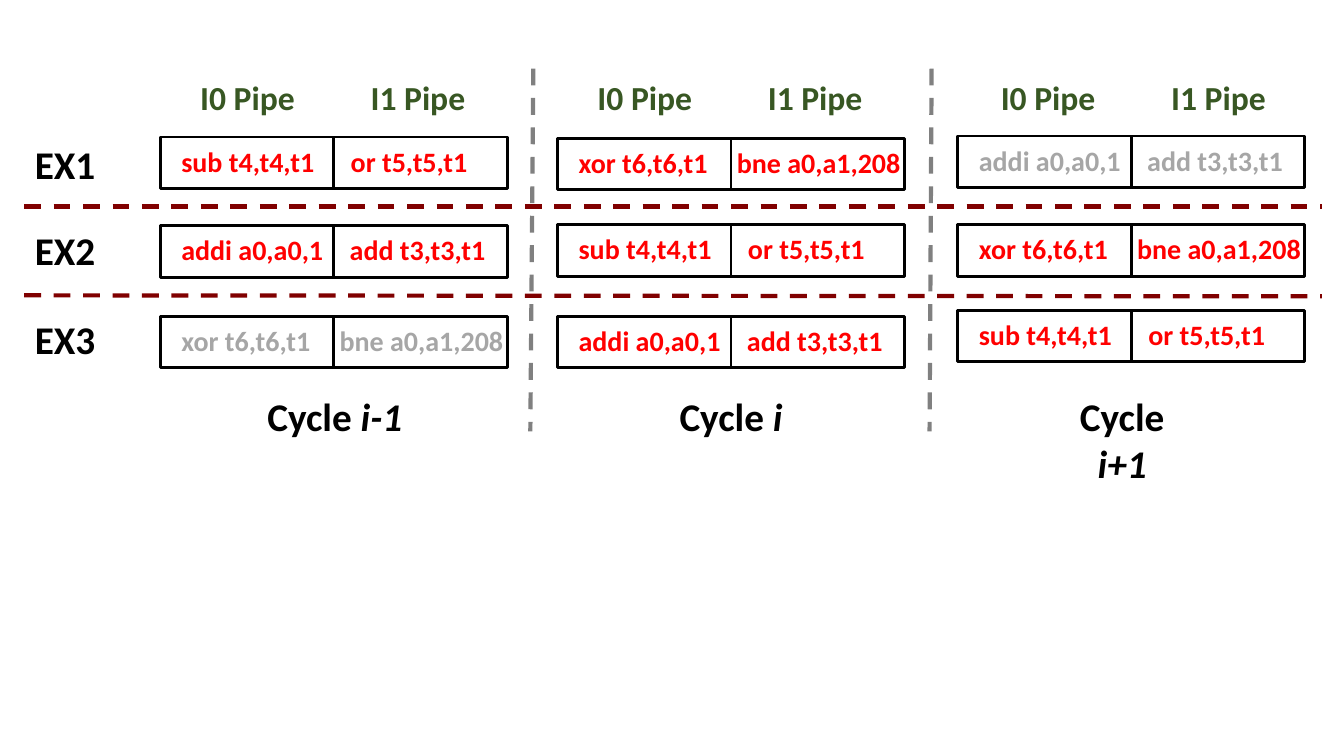
from pptx import Presentation
from pptx.dml.color import RGBColor
from pptx.enum import dml, shapes, text
from pptx.oxml import ns
from pptx.util import Inches, Pt
from lxml import etree

THEME = {
    "font": "Calibri",
    "ink": "000000", "active": "FF0000", "idle": "A6A6A6", "pipe": "385723",
    "stage_line": "800000", "cycle_line": "808080",
    "label": 28, "head": 24, "code": 20, "border": 2, "dash": 3,
}

prs = Presentation()
prs.slide_width, prs.slide_height = Inches(13.33), Inches(7.5)
s = prs.slides.add_slide(prs.slide_layouts[6])


def add_text(words, x, y, w, h, size="label", color="ink", italic="", center=True):
    """Add bold text, followed by an optional italic part."""
    tf = s.shapes.add_textbox(Inches(x), Inches(y), Inches(w), Inches(h)).text_frame
    tf.word_wrap = False
    tf.auto_size = text.MSO_AUTO_SIZE.SHAPE_TO_FIT_TEXT
    p = tf.paragraphs[0]
    p.alignment = text.PP_ALIGN.CENTER if center else text.PP_ALIGN.LEFT
    for part, slanted in ((words, False), (italic, True)):
        if part:
            r = p.add_run()
            r.text = part
            r.font.name, r.font.size = THEME["font"], Pt(THEME[size])
            r.font.bold = True
            if slanted:
                r.font.italic = True
            r.font.color.rgb = RGBColor.from_string(THEME[color])


def add_dashed(x1, y1, x2, y2, color):
    sp = s.shapes.add_connector(shapes.MSO_CONNECTOR.STRAIGHT,
                                Inches(x1), Inches(y1), Inches(x2), Inches(y2))
    sp.line.color.rgb = RGBColor.from_string(THEME[color])
    sp.line.width = Pt(THEME["dash"])
    sp.line.dash_style = dml.MSO_LINE.DASH
    etree.SubElement(sp._element.spPr, ns.qn("a:effectLst"))


# Each instruction: words, text width, text offset from its cell
pairs = [
    (("xor t6,t6,t1", 1.49, 0.11), ("bne a0,a1,208", 1.84, -0.04)),
    (("sub t4,t4,t1", 1.53, 0.11), ("or t5,t5,t1", 1.61, 0.07)),
    (("addi a0,a0,1", 1.62, 0.11), ("add t3,t3,t1", 1.58, 0.06)),
]
# Each cycle: name, left edge, first heading, caption centre, tops of the stages
cycles = [
    ("i-1", 1.59, 1.88, 3.32, (1.36, 2.24, 3.14)),
    ("i", 5.53, 5.82, 7.25, (1.37, 2.23, 3.14)),
    ("i+1", 9.5, 9.82, 11.13, (1.35, 2.23, 3.08)),
]
CELL_W, CELL_H, HEAD_STEP, CAPTION_W = 1.72, 0.51, 1.69, 1.6

# Stage names and the lines between stages
for stage, y in (("EX1", 1.34), ("EX2", 2.2), ("EX3", 3.08)):
    add_text(stage, 0.24, y, 0.81, 0.57)
for y1, y2 in ((2.05, 2.05), (2.93, 2.94)):
    add_dashed(0.24, y1, 13.11, y2, "stage_line")

# Cycles: headings, cells with instructions, caption
for c, (name, left, head_x, middle, tops) in enumerate(cycles):
    for pipe in range(2):
        add_text(f"I{pipe} Pipe", head_x + pipe * HEAD_STEP, 0.71, 1.15, 0.5,
                 size="head", color="pipe")
    for stage, top in enumerate(tops):
        # A pair moves down one stage per cycle; those outside the window are idle
        step = stage - c + 1
        color = "active" if 0 <= step < len(pairs) else "idle"
        for pipe, (words, w, offset) in enumerate(pairs[step % len(pairs)]):
            x = left + pipe * CELL_W
            add_text(words, x + offset, top + 0.02, w, 0.44,
                     size="code", color=color, center=False)
            sp = s.shapes.add_shape(shapes.MSO_SHAPE.RECTANGLE, Inches(x), Inches(top),
                                    Inches(CELL_W), Inches(CELL_H))
            sp.shadow.inherit = False
            sp.fill.background()
            sp.line.color.rgb = RGBColor.from_string(THEME["ink"])
            sp.line.width = Pt(THEME["border"])
    add_text("Cycle ", middle - CAPTION_W / 2, 3.84, CAPTION_W, 0.57, italic=name)

# Lines between cycles
for x1, x2 in ((5.29, 5.26), (9.24, 9.22)):
    add_dashed(x1, 0.68, x2, 4.28, "cycle_line")

prs.save("out.pptx")
